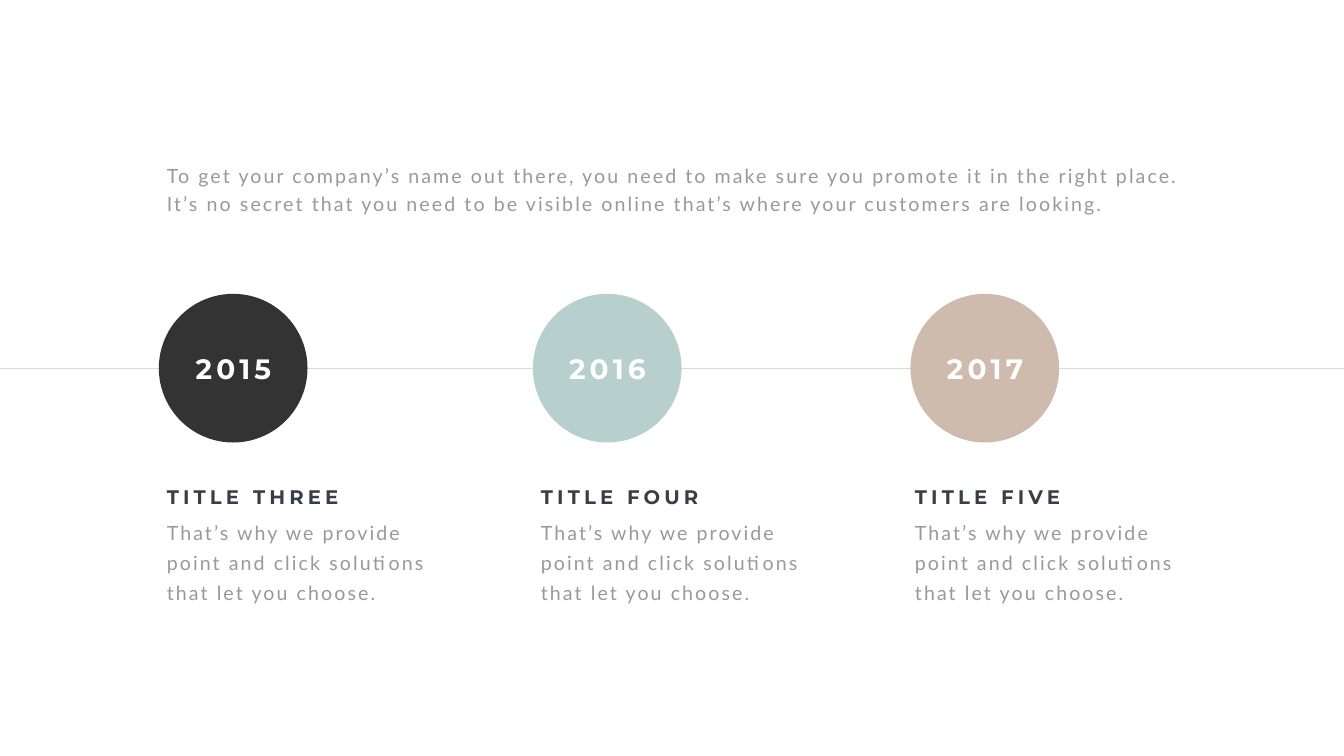
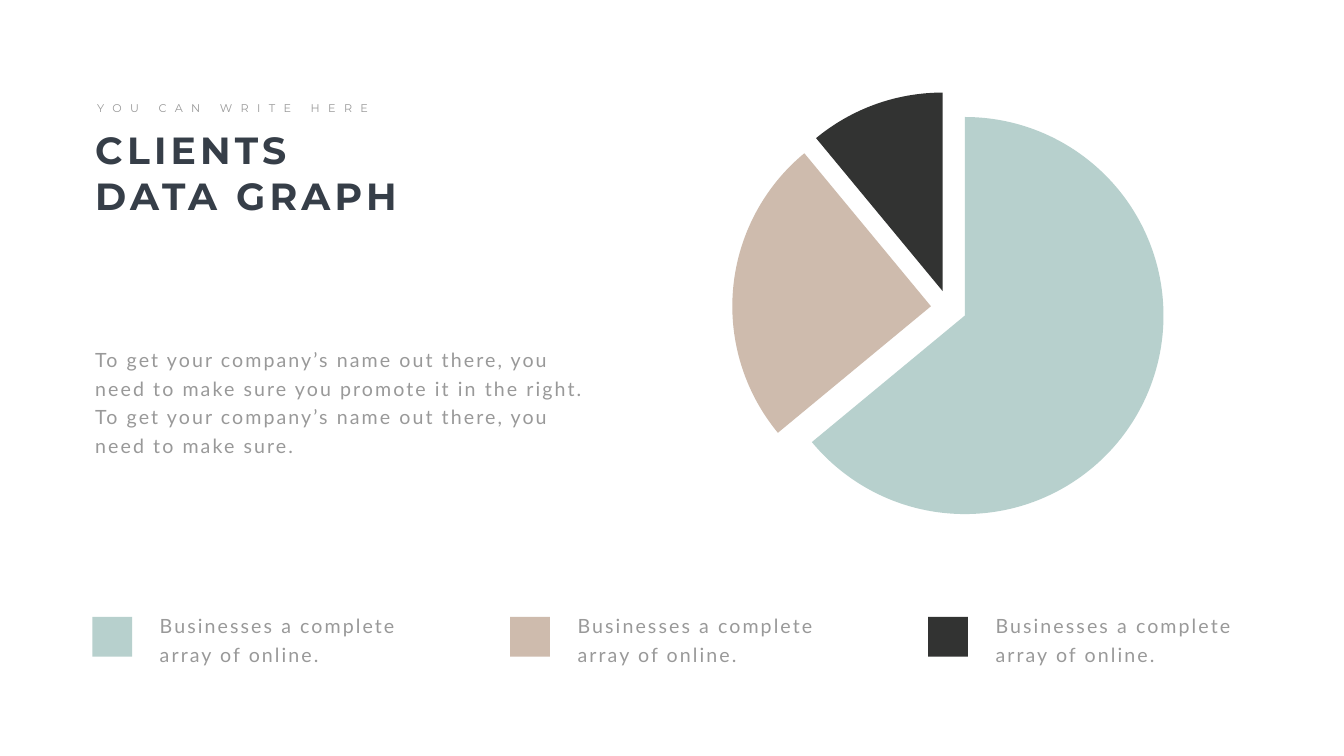
"""Builds a timeline slide and a client data slide."""
from dataclasses import dataclass

from lxml import etree
from pptx import Presentation
from pptx import util as u
from pptx.chart.data import CategoryChartData
from pptx.dml.color import RGBColor
from pptx.enum import chart as charts, shapes, text
from pptx.oxml import parse_xml
from pptx.oxml.ns import nsdecls, qn

INTRO = ("To get your company’s name out there, you need to make sure you promote it in the "
         "right place. It’s no secret that you need to be visible online that’s where your "
         "customers are looking.")
STEP_NOTE = "That’s why we provide point and click solutions that let you choose."
STEPS = [
    ("2015", "TITLE THREE", "dark", 315),
    ("2016", "TITLE FOUR", "mint", 1057),
    ("2017", "TITLE FIVE", "sand", 1806),
]
EYEBROW = "YOU CAN WRITE HERE"
HEADLINE = "CLIENTS\vDATA GRAPH"
SUMMARY = ("To get your company’s name out there, you need to make sure you promote it in the "
           "right. To get your company’s name out there, you need to make sure.")
LEGEND_NOTE = "Businesses a complete array of online."
SHARES = [("1", 64, "mint"), ("2", 25, "sand"), ("3", 11, "dark")]


@dataclass(frozen=True)
class Style:
    font: str
    size: int
    color: str
    tracking: int
    bold: bool = False
    leading: float = 0


class Theme:
    colors = {"mint": "B7D0CD", "sand": "CEBBAD", "dark": "323332", "ink": "363E48",
              "grey": "999999", "rule": "D9D9D9", "white": "FFFFFF"}
    body = Style("Lato", 28, "grey", 3, leading=40.8)
    step = Style("Lato", 28, "grey", 3, leading=43)
    title = Style("Montserrat", 28, "ink", 6, bold=True)
    year = Style("Montserrat", 40, "white", 6, bold=True)
    headline = Style("Montserrat", 54, "ink", 6, bold=True)
    eyebrow = Style("Montserrat", 16, "grey", 12)
    chart_font, chart_size, explosion = "Calibri", 10, 9


PX_PER_INCH = 100
WIDTH, HEIGHT = 2666, 1500
STEP_LEFT, STEP_PITCH, CIRCLE = 321, 742, 295
LEGEND_LEFT, LEGEND_PITCH, SWATCH = 183, 829, 79


def px(*lengths):
    return [u.Inches(length / PX_PER_INCH) for length in lengths]


def color(name):
    return RGBColor.from_string(Theme.colors[name])


def add_text(target, words, style, place, align=text.PP_ALIGN.LEFT, wrap=True):
    frame = target.add_textbox(*px(*place)).text_frame
    frame.word_wrap = wrap
    frame.text = words
    para = frame.paragraphs[0]
    para.alignment = align
    if style.leading:
        para.line_spacing = u.Pt(style.leading)
    for span in para.runs:
        span.font.name, span.font.size, span.font.bold = style.font, u.Pt(style.size), style.bold
        span.font.color.rgb = color(style.color)
        span.font._element.set("spc", str(style.tracking * 100))


def add_block(target, kind, fill, place):
    block = target.add_shape(kind, *px(*place))
    block.shadow.inherit = False
    block.fill.solid()
    block.fill.fore_color.rgb = color(fill)
    block.line.fill.background()


def add_rule(page, top):
    rule = page.shapes.add_connector(shapes.MSO_CONNECTOR.STRAIGHT, *px(0, top, WIDTH, top))
    rule.line.color.rgb = color("rule")
    rule.line.width = u.Pt(0.5)
    etree.SubElement(rule._element.spPr, qn("a:effectLst"))


def add_pie(page, place):
    data = CategoryChartData()
    data.categories = [name for name, _, _ in SHARES]
    data.add_series("Series 1", [value for _, value, _ in SHARES])
    chart = page.shapes.add_chart(charts.XL_CHART_TYPE.PIE, *px(*place), data).chart
    chart.has_legend = chart.has_title = False
    chart.font.name, chart.font.size = Theme.chart_font, u.Pt(Theme.chart_size)
    chart.font.color.rgb = color("grey")
    plot = chart.plots[0]
    plot.vary_by_categories = False
    series = plot.series[0]
    series.format.line.fill.background()
    series._element.find(qn("c:spPr")).addnext(
        parse_xml(f'<c:explosion {nsdecls("c")} val="{Theme.explosion}"/>'))
    for index, (_, _, fill) in enumerate(SHARES):
        look = series.points[index].format
        look.fill.solid()
        look.fill.fore_color.rgb = color(fill)
        look.line.fill.background()
    area = chart._chartSpace.chart.plotArea
    for layout in area.findall(qn("c:layout")):
        area.remove(layout)
    sizes = {"x": 0.18, "y": 0.015, "w": 0.64, "h": 0.97}
    parts = "".join(f'<c:{key} val="{value}"/>' for key, value in sizes.items())
    area.insert(0, parse_xml(
        f'<c:layout {nsdecls("c")}><c:manualLayout><c:layoutTarget val="inner"/>'
        f'<c:xMode val="edge"/><c:yMode val="edge"/>{parts}</c:manualLayout></c:layout>'))


def build_timeline(page):
    add_rule(page, 730)
    for index, (year, title, fill, circle_left) in enumerate(STEPS):
        left = STEP_LEFT + index * STEP_PITCH
        group = page.shapes.add_group_shape().shapes
        add_text(group, STEP_NOTE, Theme.step, (left, 1015, 545, 185))
        add_text(group, title, Theme.title, (left, 958, 441, 57))
        add_block(group, shapes.MSO_SHAPE.OVAL, fill, (circle_left, 583, CIRCLE, CIRCLE))
        add_text(group, year, Theme.year, (circle_left + 44, 692, 208, 77),
                 align=text.PP_ALIGN.CENTER)
    add_text(page.shapes, INTRO, Theme.body, (STEP_LEFT, 310, 2059, 119))


def build_clients(page):
    add_text(page.shapes, SUMMARY, Theme.body, (179, 676, 992, 292))
    heading = page.shapes.add_group_shape().shapes
    add_text(heading, HEADLINE, Theme.headline, (179, 247, 677, 192))
    add_text(heading, EYEBROW, Theme.eyebrow, (183, 196, 578, 37), wrap=False)
    add_pie(page, (1211, 164, 1342, 894))
    for index, (_, _, fill) in enumerate(SHARES):
        left = LEGEND_LEFT + index * LEGEND_PITCH
        group = page.shapes.add_group_shape().shapes
        add_text(group, LEGEND_NOTE, Theme.body, (left + 124, 1204, 518, 119))
        add_block(group, shapes.MSO_SHAPE.RECTANGLE, fill, (left, 1224, SWATCH, SWATCH))


def main():
    deck = Presentation()
    deck.slide_width, deck.slide_height = px(WIDTH, HEIGHT)
    for build in (build_timeline, build_clients):
        page = deck.slides.add_slide(deck.slide_layouts[6])
        page.background.fill.solid()
        page.background.fill.fore_color.rgb = color("white")
        build(page)
    deck.save("out.pptx")


if __name__ == "__main__":
    main()
